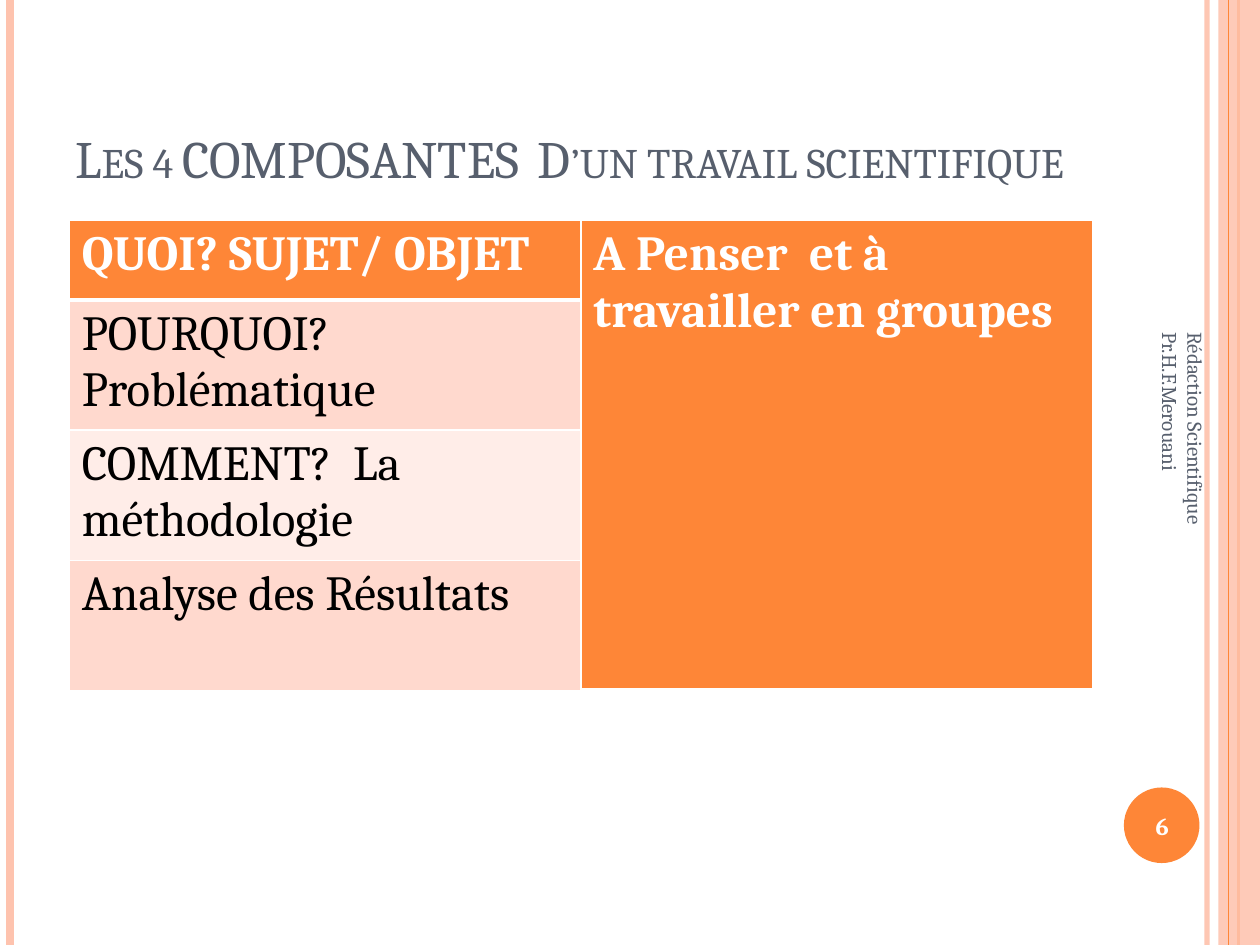
import dataclasses
import lxml.etree
import pptx
import pptx.dml.color
import pptx.enum.shapes
import pptx.enum.text
import pptx.oxml.ns
import pptx.util

Inches = pptx.util.Inches
Pt = pptx.util.Pt
Shape = pptx.enum.shapes.MSO_SHAPE
Anchor = pptx.enum.text.MSO_ANCHOR
Align = pptx.enum.text.PP_ALIGN
qn = pptx.oxml.ns.qn


@dataclasses.dataclass(frozen=True)
class Theme:
    face: str = "Cambria"
    orange: str = "FE8637"
    peach: str = "FEC3AE"
    slate: str = "575F6D"
    white: str = "FFFFFF"
    black: str = "000000"
    bands: tuple = ("FFD9CE", "FFEDE8")
    title: int = 30
    body: int = 28
    badge: int = 14
    side: int = 12


THEME = Theme()


def color(code):
    return pptx.dml.color.RGBColor.from_string(code)


def apply(target, values):
    for name, value in values.items():
        setattr(target, name, value)


def paint(fill, code):
    fill.solid()
    fill.fore_color.rgb = color(code)


def fade(shape, percent):
    tone = next(shape._element.spPr.iter(qn("a:srgbClr")))
    lxml.etree.SubElement(tone, qn("a:alpha"), val=str(percent * 1000))


def write(frame, text, size, code, bold=False, align=Align.LEFT):
    para = frame.paragraphs[0]
    para.text = text
    para.alignment = align
    for run in para.runs:
        apply(run.font, {"name": THEME.face, "size": Pt(size), "bold": bold})
        run.font.color.rgb = color(code)
    return para


def add_text(slide, box, text, size, code, anchor, **style):
    shape = slide.shapes.add_textbox(*map(Inches, box))
    apply(shape.text_frame, {"word_wrap": True, "vertical_anchor": anchor})
    write(shape.text_frame, text, size, code, **style)
    return shape


def add_rule(slide, x, top, height, code, width):
    rule = slide.shapes.add_connector(
        pptx.enum.shapes.MSO_CONNECTOR.STRAIGHT,
        Inches(x), Inches(top), Inches(x), Inches(top + height))
    rule.line.color.rgb = color(code)
    rule.line.width = Pt(width)
    lxml.etree.SubElement(rule._element.spPr, qn("a:effectLst"))
    return rule


def add_solid(slide, kind, box, code):
    shape = slide.shapes.add_shape(kind, *map(Inches, box))
    shape.shadow.inherit = False
    paint(shape.fill, code)
    shape.line.fill.background()
    return shape


def add_frame(slide, box):
    left, top, width, height = box
    right = left + width
    fade(add_rule(slide, right - 0.42, top, height, THEME.peach, 3), 93)
    add_rule(slide, left + 0.08, top, height, THEME.peach, 4.5)
    add_rule(slide, right - 0.17, top, height, THEME.orange, 1.5)
    band = (right - 0.33, top, 0.33, height)
    fade(add_solid(slide, Shape.RECTANGLE, band, THEME.peach), 87)
    add_rule(slide, right - 0.25, top, height, THEME.orange, 0.75)


def add_title(slide, box, text):
    shape = add_text(slide, box, text, THEME.title, THEME.slate, Anchor.BOTTOM)
    for run in shape.text_frame.paragraphs[0].runs:
        run._r.get_or_add_rPr().set("cap", "small")


def edge(cell, widths):
    props = cell._tc.get_or_add_tcPr()
    for side, width in widths.items():
        line = lxml.etree.SubElement(props, qn("a:ln" + side), w=str(Pt(width)))
        fill = lxml.etree.SubElement(line, qn("a:solidFill"))
        lxml.etree.SubElement(fill, qn("a:srgbClr"), val=THEME.white)


def fill_cell(cell, text, back, code, bold, base):
    edge(cell, {"L": 1, "R": 1, "T": 1, "B": base})
    paint(cell.fill, back)
    write(cell.text_frame, text, THEME.body, code, bold)


def add_grid(slide, box, head, rows, note):
    left, top, width, height = box
    count = len(rows) + 1
    table = slide.shapes.add_table(count, 2, *map(Inches, box)).table
    first = 0.63
    for col in table.columns:
        col.width = Inches(width / 2)
    for index, row in enumerate(table.rows):
        row.height = Inches((height - first) / len(rows) if index else first)
    table.cell(0, 1).merge(table.cell(count - 1, 1))
    for col, text in enumerate((head, note)):
        fill_cell(table.cell(0, col), text, THEME.orange, THEME.white, True, 3)
    for index, text in enumerate(rows):
        back = THEME.bands[index % 2]
        fill_cell(table.cell(index + 1, 0), text, back, THEME.black, False, 1)


def add_badge(slide, box, text):
    left, top, width, height = box
    add_solid(slide, Shape.OVAL, box, THEME.orange)
    label = (left - 0.03, top + 0.02, width + 0.07, height - 0.03)
    add_text(slide, label, text, THEME.badge, THEME.white, Anchor.MIDDLE,
             bold=True, align=Align.CENTER)


def add_side(slide, box, text):
    shape = add_text(slide, box, text, THEME.side, THEME.slate, Anchor.MIDDLE)
    shape.rotation = 90


def main():
    deck = pptx.Presentation()
    apply(deck, {"slide_width": Inches(10), "slide_height": Inches(7.5)})
    slide = deck.slides.add_slide(deck.slide_layouts[6])
    paint(slide.background.fill, THEME.white)
    add_frame(slide, (0, 0, 10, 7.5))
    add_title(slide, (0.5, 0.3, 8.17, 1.25),
              "Les 4 COMPOSANTES  D’un travail scientifique")
    add_grid(slide, (0.55, 1.75, 8.12, 3.6), "QUOI? SUJET/ OBJET",
             ("POURQUOI? Problématique", "COMMENT?  La méthodologie",
              "Analyse des Résultats"),
             "A Penser  et à travailler en groupes")
    add_badge(slide, (8.92, 6.25, 0.6, 0.6), "6")
    add_side(slide, (7.64, 4.09, 3.5, 0.4),
             "Rédaction Scientifique\vPr.H.F.Merouani")
    deck.save("out.pptx")


if __name__ == "__main__":
    main()
